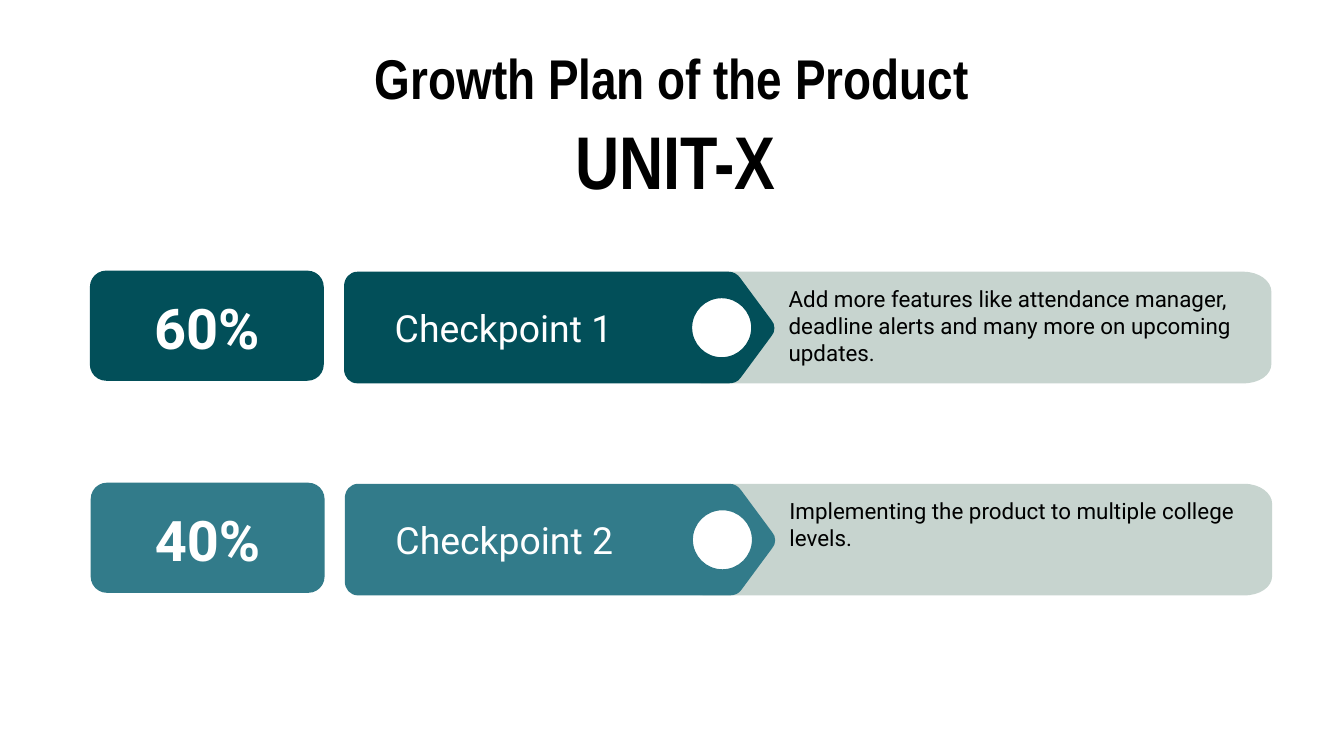
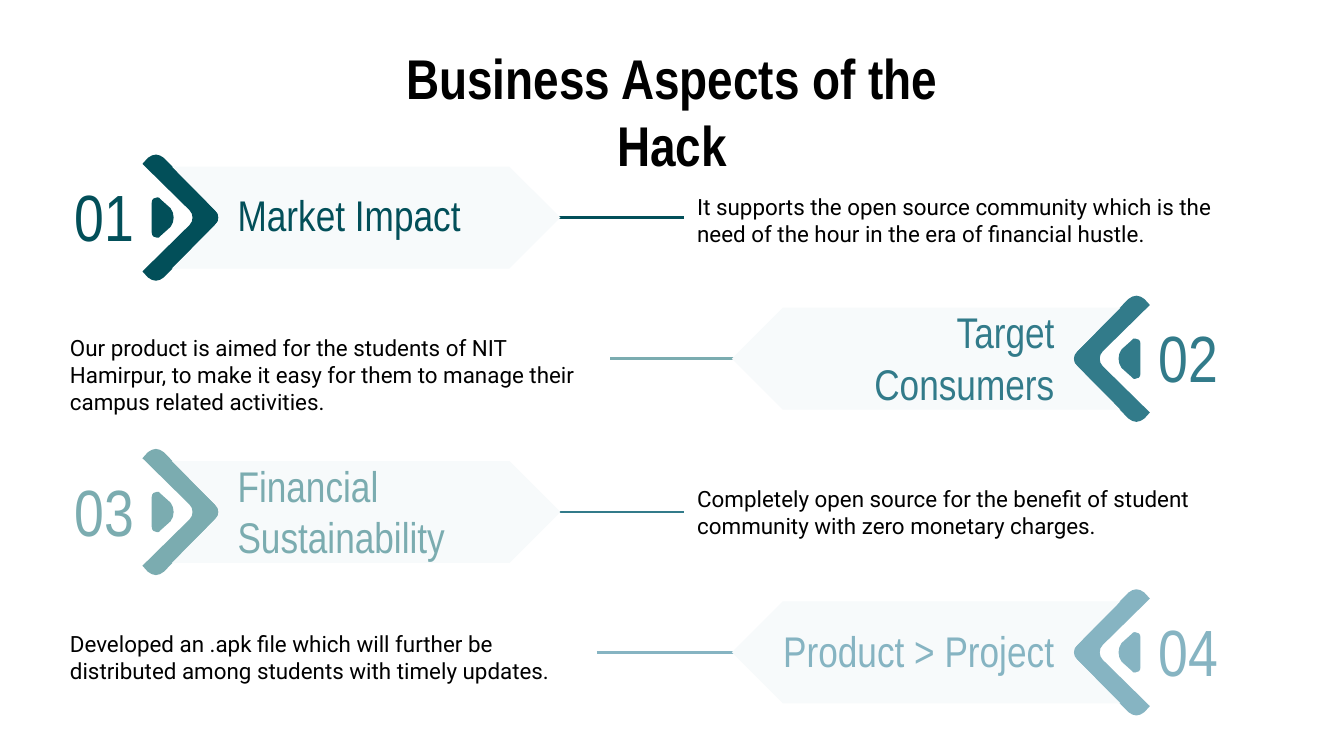
"""Build the growth plan and business aspects slides."""
from dataclasses import dataclass

from lxml.etree import SubElement
from pptx import Presentation
from pptx.dml.color import RGBColor
from pptx.enum.shapes import MSO_CONNECTOR as Connector, MSO_SHAPE as Preset
from pptx.enum.text import MSO_ANCHOR as Anchor, MSO_AUTO_SIZE as AutoSize, PP_ALIGN as Align
from pptx.oxml.ns import qn
from pptx.shapes.autoshape import Shape
from pptx.slide import Slide
from pptx.text.text import TextFrame
from pptx.util import Pt

Step = tuple[float, ...]
Contour = list[Step]


@dataclass(frozen=True)
class Theme:
    deep: str = "024F59"
    teal: str = "327B8A"
    sage: str = "7BACB0"
    sky: str = "86B4C2"
    panel: str = "C7D4CF"
    mist: str = "F7FAFB"
    black: str = "000000"
    white: str = "FFFFFF"
    heading_font: str = "Arial Narrow"
    body_font: str = "Roboto"
    product_size: float = 40
    number_size: float = 35
    title_size: float = 30
    label_size: float = 23
    checkpoint_size: float = 20
    body_size: float = 12
    inset: float = 7.2
    rule_width: float = 1.5


THEME = Theme()


@dataclass(frozen=True)
class Style:
    font: str
    size: float
    color: str
    bold: bool = False
    align: Align = Align.LEFT


@dataclass(frozen=True)
class Box:
    left: float
    top: float
    width: float
    height: float


@dataclass(frozen=True)
class Checkpoint:
    left: float
    top: float
    share: str
    label: str
    details: tuple[str, ...]
    color: str


@dataclass(frozen=True)
class Aspect:
    number: str
    label: str
    detail: str
    middle: float
    color: str
    rule_color: str
    rule_start: float
    rule_end: float
    mirrored: bool = False
    label_rise: float = 35.5
    label_width: float = 153.4
    detail_shift: float = 0


TITLE = Style(THEME.heading_font, THEME.title_size, THEME.black, True, Align.CENTER)
PRODUCT = Style(THEME.heading_font, THEME.product_size, THEME.black, True, Align.CENTER)
SHARE = Style(THEME.body_font, THEME.title_size, THEME.white, True, Align.CENTER)
CHECKPOINT = Style(THEME.body_font, THEME.checkpoint_size, THEME.white)
DETAIL = Style(THEME.body_font, THEME.body_size, THEME.black)

TITLE_BOX = Box(182.2, 16.1, 355.7, 49)
PRODUCT_BOX = Box(141.1, 54.3, 441.4, 49)

PANEL: Contour = [
    (326.5, 0), (329.5, 0, 332, 0.7, 334, 2.2), (334.8, 3.6), (359.3, 25.9),
    (362.2, 28.1, 362.2, 32.4, 359.3, 34.6), (334.8, 56.9),
    (332.6, 59, 329.8, 59.8, 326.5, 59.8), (617.8, 59.8),
    (626.4, 59.8, 632.9, 55.4, 632.9, 49.3), (632.9, 10.8),
    (632.9, 5, 626.4, 0, 617.8, 0),
]
TAG: Contour = [
    (143.3, 0), (139, 0, 136.1, 3.6, 136.1, 7.9), (136.1, 52.2),
    (136.1, 56.5, 139, 59.8, 143.3, 59.8), (342, 59.8),
    (344.9, 59.8, 347, 59, 348.5, 56.9), (365, 34.6),
    (367.2, 32.4, 367.2, 28.1, 365, 25.9), (348.5, 3.6),
    (347, 1.4, 344.9, 0, 342, 0),
]
TAG_HOLE: Contour = [
    (338.4, 14.2), (347.1, 14.2, 354.2, 21.3, 354.2, 30),
    (354.2, 38.7, 347.1, 45.8, 338.4, 45.8),
    (329.7, 45.8, 322.6, 38.7, 322.6, 30),
    (322.6, 21.3, 329.7, 14.2, 338.4, 14.2),
]
CHEVRON: Contour = [
    (7.2, -33.8), (5.8, -33.8, 4.3, -33.1, 2.9, -32), (0, -28.8), (25.2, -4),
    (27.4, -2, 27.4, 2, 25.2, 4), (0, 28.8), (2.9, 32),
    (4.3, 33.1, 5.8, 33.8, 7.2, 33.8), (8.6, 33.8, 10.1, 33.1, 11.5, 32),
    (38.9, 4), (41.3, 2, 41.3, -2, 38.9, -4), (11.5, -32),
    (10.1, -33.1, 8.6, -33.8, 7.2, -33.8),
]
KERNEL: Contour = [
    (7.9, -10.8), (6.5, -10.8, 5, -10.1, 5, -7.9), (5, 7.9),
    (5, 10.1, 6.5, 10.8, 7.9, 10.8), (8.6, 10.8, 9.4, 10.8, 9.4, 10.1),
    (15.1, 5), (17.3, 2.2, 17.3, -2.2, 15.1, -5), (9.4, -10.1),
    (9.4, -10.8, 8.6, -10.8, 7.9, -10.8),
]
BANNER: Contour = [
    (15.8, -27.3), (38.9, -4), (40.3, -2.9, 41, -1.4, 41, 0),
    (41, 1.4, 40.3, 2.9, 38.9, 4), (15.8, 27.3), (196.6, 27.3),
    (223.9, 0), (196.6, -27.3),
]
CHEVRON_LEFT = 76.3
MIRROR_SUM = 692.3

CHECKPOINTS = (
    Checkpoint(48.2, 145.6, "60%", "Checkpoint 1",
               ("Add more features like attendance manager,",
                "deadline alerts and many more on upcoming updates."), THEME.deep),
    Checkpoint(48.6, 259.2, "40%", "Checkpoint 2",
               ("Implementing the product to multiple college levels.",), THEME.teal),
)
ASPECTS = (
    Aspect("01", "Market Impact",
           "It supports the open source community which is the need of the hour "
           "in the era of financial hustle.",
           116.6, THEME.deep, THEME.deep, 366.4, 241.9, label_rise=23),
    Aspect("03", "Financial Sustainability",
           "Completely open source for the benefit of student community with zero "
           "monetary charges.",
           274.3, THEME.sage, THEME.teal, 366.4, 277.2, detail_shift=-1),
    Aspect("02", "Target Consumers",
           "Our product is aimed for the students of NIT Hamirpur, to make it easy "
           "for them to manage their campus related activities.",
           192.2, THEME.teal, THEME.sage, 327, 450.7, mirrored=True),
    Aspect("04", "Product > Project",
           "Developed an .apk file which will further be distributed among students "
           "with timely updates.",
           349.5, THEME.sky, THEME.sky, 319.7, 444.2, mirrored=True,
           label_rise=22, label_width=166.3, detail_shift=1.3),
)


def write(frame: TextFrame, paragraphs: tuple[str, ...], style: Style) -> None:
    """Fill a text frame with one styled run per paragraph."""
    frame.word_wrap = True
    frame.auto_size = AutoSize.NONE
    frame.vertical_anchor = Anchor.TOP
    frame.margin_left = frame.margin_right = Pt(THEME.inset)
    frame.margin_top = frame.margin_bottom = Pt(THEME.inset)
    for index, words in enumerate(paragraphs):
        paragraph = frame.add_paragraph() if index else frame.paragraphs[0]
        paragraph.alignment = style.align
        paragraph.space_before = Pt(0)
        run = paragraph.add_run()
        run.text = words
        run.font.name = style.font
        run.font.size = Pt(style.size)
        run.font.bold = style.bold
        run.font.color.rgb = RGBColor.from_string(style.color)


def add_text(slide: Slide, box: Box, paragraphs: tuple[str, ...], style: Style) -> Shape:
    """Add a text box."""
    text_box = slide.shapes.add_textbox(
        Pt(box.left), Pt(box.top), Pt(box.width), Pt(box.height))
    write(text_box.text_frame, paragraphs, style)
    return text_box


def set_heading(heading: Shape, box: Box, words: str, style: Style) -> None:
    """Move a placeholder and write its heading."""
    heading.left, heading.top = Pt(box.left), Pt(box.top)
    heading.width, heading.height = Pt(box.width), Pt(box.height)
    write(heading.text_frame, (words,), style)


def paint(shape: Shape, color: str) -> None:
    """Give a shape a flat fill without line or shadow."""
    shape.shadow.inherit = False
    shape.fill.solid()
    shape.fill.fore_color.rgb = RGBColor.from_string(color)
    shape.line.fill.background()


def bend(outline: Shape, contours: tuple[Contour, ...]) -> None:
    """Merge the three points of each curve step into one cubic curve."""
    segments = iter(list(outline.element.iter(qn("a:lnTo"))))
    for contour in contours:
        for step in contour[1:]:
            first = next(segments)
            if len(step) == 6:
                first.tag = qn("a:cubicBezTo")
                for _ in range(2):
                    control = next(segments)
                    first.append(control[0])
                    control.getparent().remove(control)


def add_outline(slide: Slide, left: float, top: float, color: str,
                *contours: Contour, mirrored: bool = False) -> None:
    """Draw contours from an origin, flipped leftwards when mirrored."""
    builder = None
    for contour in contours:
        points = [
            (Pt(MIRROR_SUM - left - x if mirrored else left + x), Pt(top + y))
            for step in contour for x, y in zip(step[::2], step[1::2])
        ]
        if builder is None:
            builder = slide.shapes.build_freeform(*points[0], scale=1.0)
        else:
            builder.move_to(*points[0])
        builder.add_line_segments(points[1:], close=True)
    outline = builder.convert_to_shape()
    bend(outline, contours)
    paint(outline, color)


def add_checkpoint(slide: Slide, row: Checkpoint) -> None:
    """Draw a share badge, its checkpoint tag and the detail panel."""
    add_outline(slide, row.left, row.top, THEME.panel, PANEL)
    add_outline(slide, row.left, row.top, row.color, TAG, TAG_HOLE)
    badge = slide.shapes.add_shape(
        Preset.ROUNDED_RECTANGLE, Pt(row.left), Pt(row.top - 0.6), Pt(125.3), Pt(59))
    badge.adjustments[0] = 0.148
    paint(badge, row.color)
    add_text(slide, Box(row.left + 156.2, row.top + 10.6, 161.3, 23), (row.label,), CHECKPOINT)
    add_text(slide, Box(row.left + 367.2, row.top, 255.6, 59), row.details, DETAIL)
    add_text(slide, Box(row.left, row.top + 4.3, 125.3, 36.7), (row.share,), SHARE)


def add_aspect(slide: Slide, row: Aspect) -> None:
    """Draw a numbered arrow banner with its rule and detail."""
    def side_box(left: float, rise: float, width: float, height: float) -> Box:
        """Place a box on the row's side of the slide."""
        return Box(MIRROR_SUM - left - width if row.mirrored else left,
                   row.middle - rise, width, height)

    detail_box = Box(30.4 if row.mirrored else 366.4,
                     row.middle - 20.5 + row.detail_shift, 296.6, 41)
    detail = add_text(slide, detail_box, (row.detail,), DETAIL)
    rule = slide.shapes.add_connector(
        Connector.STRAIGHT, Pt(row.rule_start), Pt(row.middle), Pt(row.rule_end), Pt(row.middle))
    rule.line.color.rgb = RGBColor.from_string(row.rule_color)
    rule.line.width = Pt(THEME.rule_width)
    SubElement(rule.element.spPr, qn("a:effectLst"))
    if not row.detail_shift:
        rule.begin_connect(detail, 3 if row.mirrored else 1)

    for color, contour in ((row.color, CHEVRON), (row.color, KERNEL), (THEME.mist, BANNER)):
        add_outline(slide, CHEVRON_LEFT, row.middle, color, contour, mirrored=row.mirrored)
    label_style = Style(THEME.heading_font, THEME.label_size, row.color,
                        align=Align.RIGHT if row.mirrored else Align.LEFT)
    number_style = Style(THEME.heading_font, THEME.number_size, row.color, align=Align.CENTER)
    add_text(slide, side_box(120.2, row.label_rise, row.label_width, 28), (row.label,), label_style)
    add_text(slide, side_box(30.2, 29.3, 51.1, 53.3), (row.number,), number_style)


def main() -> None:
    """Build and save both slides."""
    deck = Presentation()
    deck.slide_width, deck.slide_height = Pt(720), Pt(405)

    growth = deck.slides.add_slide(deck.slide_layouts[0])
    set_heading(growth.shapes.title, TITLE_BOX, "Growth Plan of the Product", TITLE)
    set_heading(growth.placeholders[1], PRODUCT_BOX, "UNIT-X", PRODUCT)
    for checkpoint in CHECKPOINTS:
        add_checkpoint(growth, checkpoint)

    business = deck.slides.add_slide(deck.slide_layouts[5])
    set_heading(business.shapes.title, TITLE_BOX, "Business Aspects of the Hack", TITLE)
    for aspect in ASPECTS:
        add_aspect(business, aspect)

    deck.save("out.pptx")


if __name__ == "__main__":
    main()
